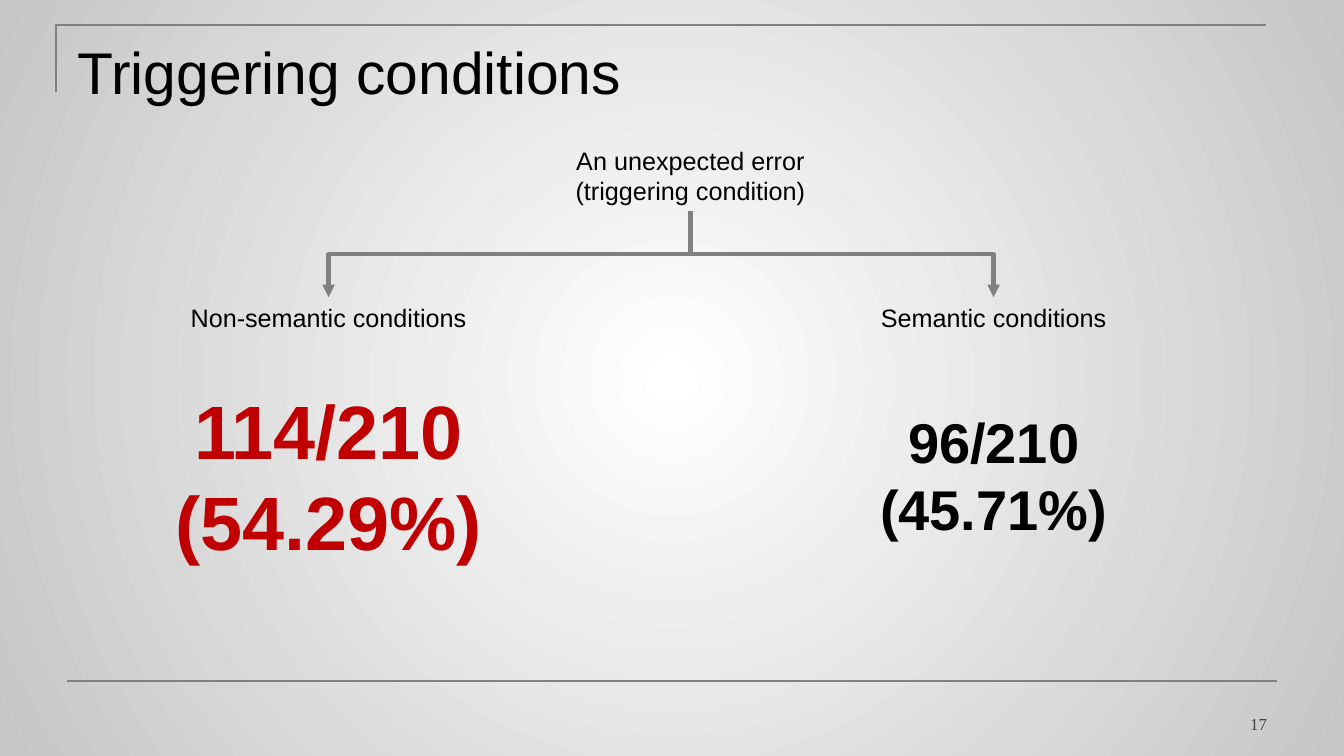
from lxml import etree
from pptx import Presentation
from pptx import util as u
from pptx.dml.color import RGBColor
from pptx.enum import shapes, text
from pptx.oxml.ns import qn

COLOURS = {
    "ink": "000000",
    "accent": "C00000",
    "rule": "808080",
    "number": "404040",
    "centre": "FFFFFF",
    "edge": "C6C6C6",
}
ROOT_X, ARROW_TOP, ARROW_DROP = 17.4, 5.33, 2.16
SHARE_MIDDLE = 11.96
# centre, label, label width, share lines, share width, share height, size, colour
BRANCHES = [
    (8.28, "Non-semantic conditions", 7.52, "114/210\n(54.29%)", 8.3, 4.88, 54, "accent"),
    (25.04, "Semantic conditions", 6.25, "96/210\n(45.71%)", 6.3, 3.68, 40, "ink"),
]


def rgb(name):
    return RGBColor.from_string(COLOURS[name])


class ConditionsSlide:
    """Holds the current slide and its shared style."""

    font = "Arial"

    def __init__(self, deck):
        self.page = deck.slides.add_slide(deck.slide_layouts[5])

    def background(self):
        """Fill the page with a circular gradient from its middle."""
        fill = self.page.background.fill
        fill.gradient()
        for stop, name, position in zip(fill.gradient_stops, ("centre", "edge"), (0, 1)):
            stop.color.rgb = rgb(name)
            stop.position = position
        linear = next(self.page.element.iter(qn("a:lin")))
        circle = etree.Element(qn("a:path"), {"path": "circle"})
        etree.SubElement(circle, qn("a:fillToRect"), l="50000", t="50000", r="50000", b="50000")
        linear.getparent().replace(linear, circle)

    def set_words(self, shape, words, size, colour="ink", align=text.PP_ALIGN.CENTER,
                  anchor=text.MSO_ANCHOR.TOP, bold=False, font=None):
        frame = shape.text_frame
        frame.text = words
        frame.vertical_anchor = anchor
        for para in frame.paragraphs:
            para.alignment = align
            for span in para.runs:
                span.font.name = font or self.font
                span.font.size = u.Pt(size)
                span.font.bold = bold
                span.font.color.rgb = rgb(colour)
        return frame

    def title(self, words):
        shape = self.page.shapes.title
        shape.left, shape.top, shape.width, shape.height = map(u.Cm, (1.7, 0.76, 30.48, 3.18))
        frame = self.set_words(shape, words, 42, align=text.PP_ALIGN.LEFT)
        frame.auto_size = text.MSO_AUTO_SIZE.NONE

    def label(self, centre, top, width, height, words, size, **style):
        """Add an unwrapped text box centred on a given x."""
        box = self.page.shapes.add_textbox(*map(u.Cm, (centre - width / 2, top, width, height)))
        frame = self.set_words(box, words, size, **style)
        frame.word_wrap = False
        frame.auto_size = text.MSO_AUTO_SIZE.SHAPE_TO_FIT_TEXT

    def page_number(self, number):
        box = self.page.shapes.add_textbox(*map(u.Cm, (24.28, 17.35, 7.9, 1.27)))
        frame = self.set_words(box, number, 12, "number", text.PP_ALIGN.RIGHT,
                               text.MSO_ANCHOR.BOTTOM, font="Times New Roman")
        frame.word_wrap = True

    def stroke(self, line, width):
        line.color.rgb = rgb("rule")
        line.width = u.Pt(width)

    def corner(self):
        outline = self.page.shapes.build_freeform(u.Cm(1.42), u.Cm(2.33))
        points = [(u.Cm(x), u.Cm(0.63)) for x in (1.42, 31.9)]
        outline.add_line_segments(points, close=False)
        shape = outline.convert_to_shape()
        shape.shadow.inherit = False
        shape.fill.background()
        self.stroke(shape.line, 1.5)

    def connector(self, kind, ends, width):
        link = self.page.shapes.add_connector(kind, *map(u.Cm, ends))
        self.stroke(link.line, width)
        etree.SubElement(link.element.spPr, qn("a:effectLst"))
        return link

    def branch_arrow(self, target):
        """Draw an elbow that leaves downwards, by turning a sideways elbow."""
        middle_x, middle_y = (ROOT_X + target) / 2, ARROW_TOP + ARROW_DROP / 2
        half_drop, half_span = ARROW_DROP / 2, abs(target - ROOT_X) / 2
        leftward = target < ROOT_X
        side = half_drop if leftward else -half_drop
        ends = (middle_x - side, middle_y - half_span, middle_x + side, middle_y + half_span)
        link = self.connector(shapes.MSO_CONNECTOR.ELBOW, ends, 3)
        link.element.spPr.find(qn("a:xfrm")).set("rot", str((90 if leftward else 270) * 60000))
        outline = link.element.spPr.find(qn("a:ln"))
        etree.SubElement(outline, qn("a:tailEnd"), type="triangle")


def main():
    deck = Presentation()
    deck.slide_width, deck.slide_height = u.Cm(33.87), u.Cm(19.05)
    slide = ConditionsSlide(deck)
    slide.background()
    slide.corner()
    slide.connector(shapes.MSO_CONNECTOR.STRAIGHT, (1.7, 17.15, 32.18, 17.15), 1.5)
    slide.title("Triggering conditions")
    slide.page_number("17")
    slide.label(ROOT_X, 3.53, 6.32, 1.8, "An unexpected error\n(triggering condition)", 18)
    for centre, name, name_width, share, width, height, size, colour in BRANCHES:
        slide.label(centre, ARROW_TOP + ARROW_DROP, name_width, 1.02, name, 18)
        slide.branch_arrow(centre)
        slide.label(centre, SHARE_MIDDLE - height / 2, width, height, share, size,
                    colour=colour, anchor=text.MSO_ANCHOR.MIDDLE, bold=True)
    deck.save("out.pptx")


if __name__ == "__main__":
    main()
